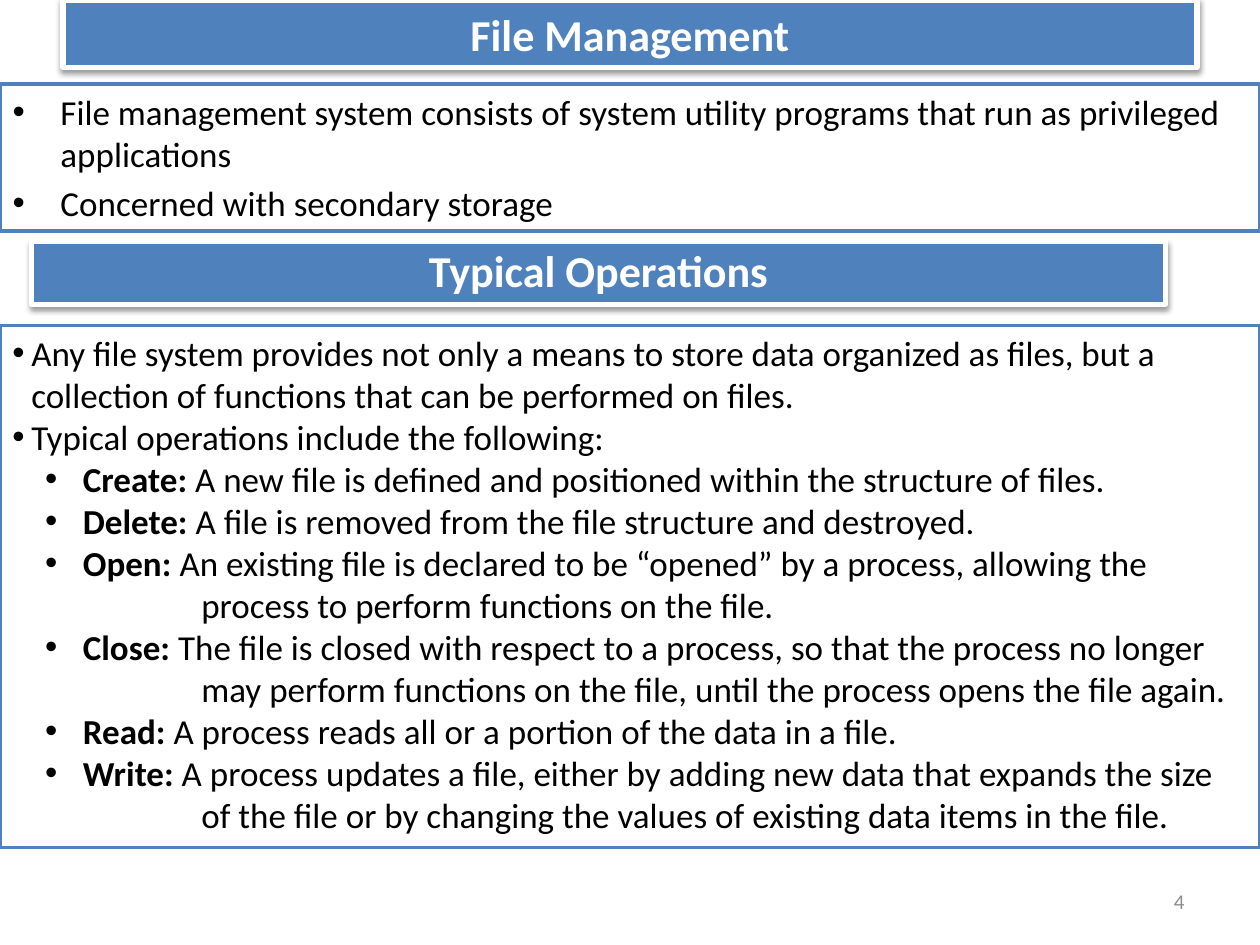
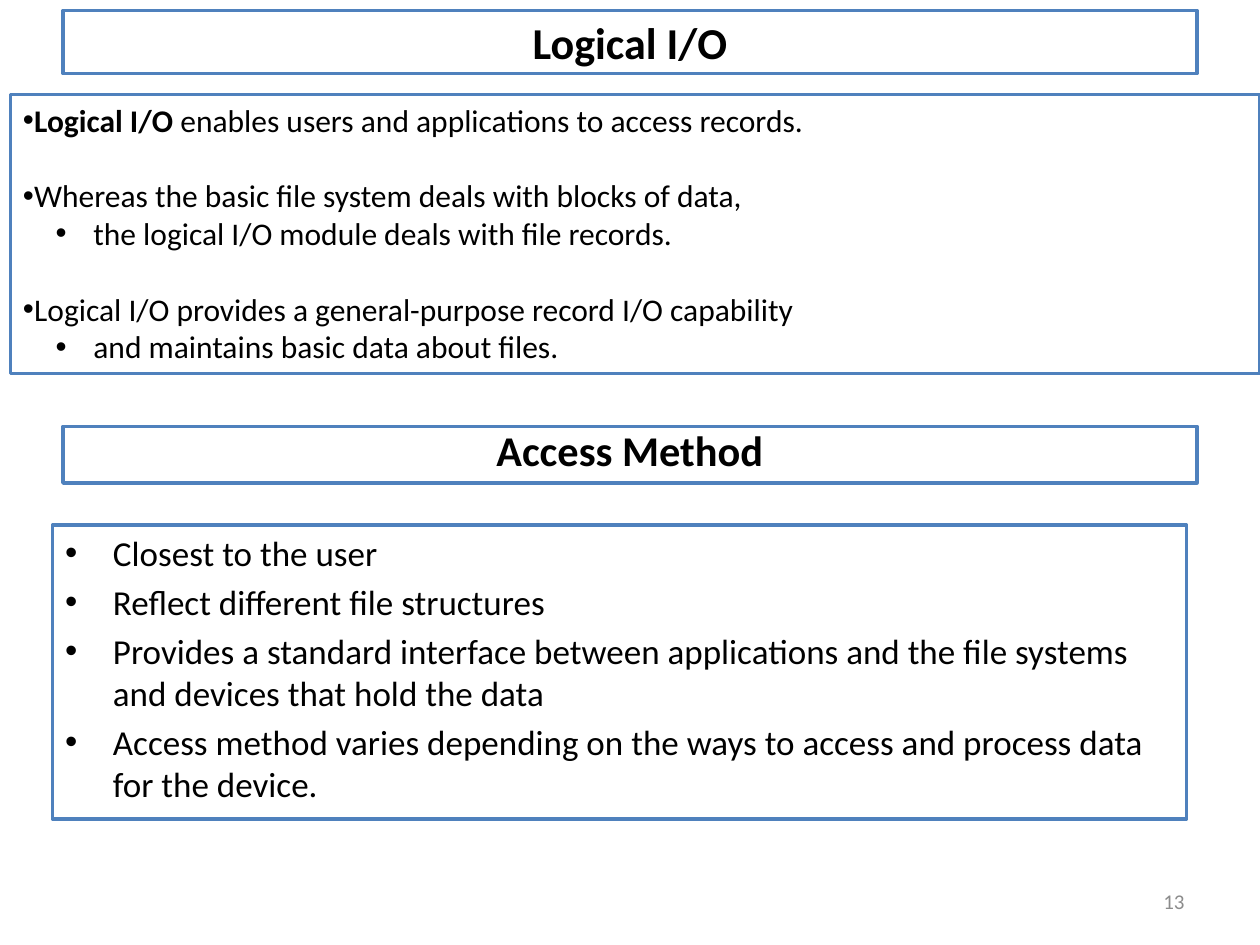
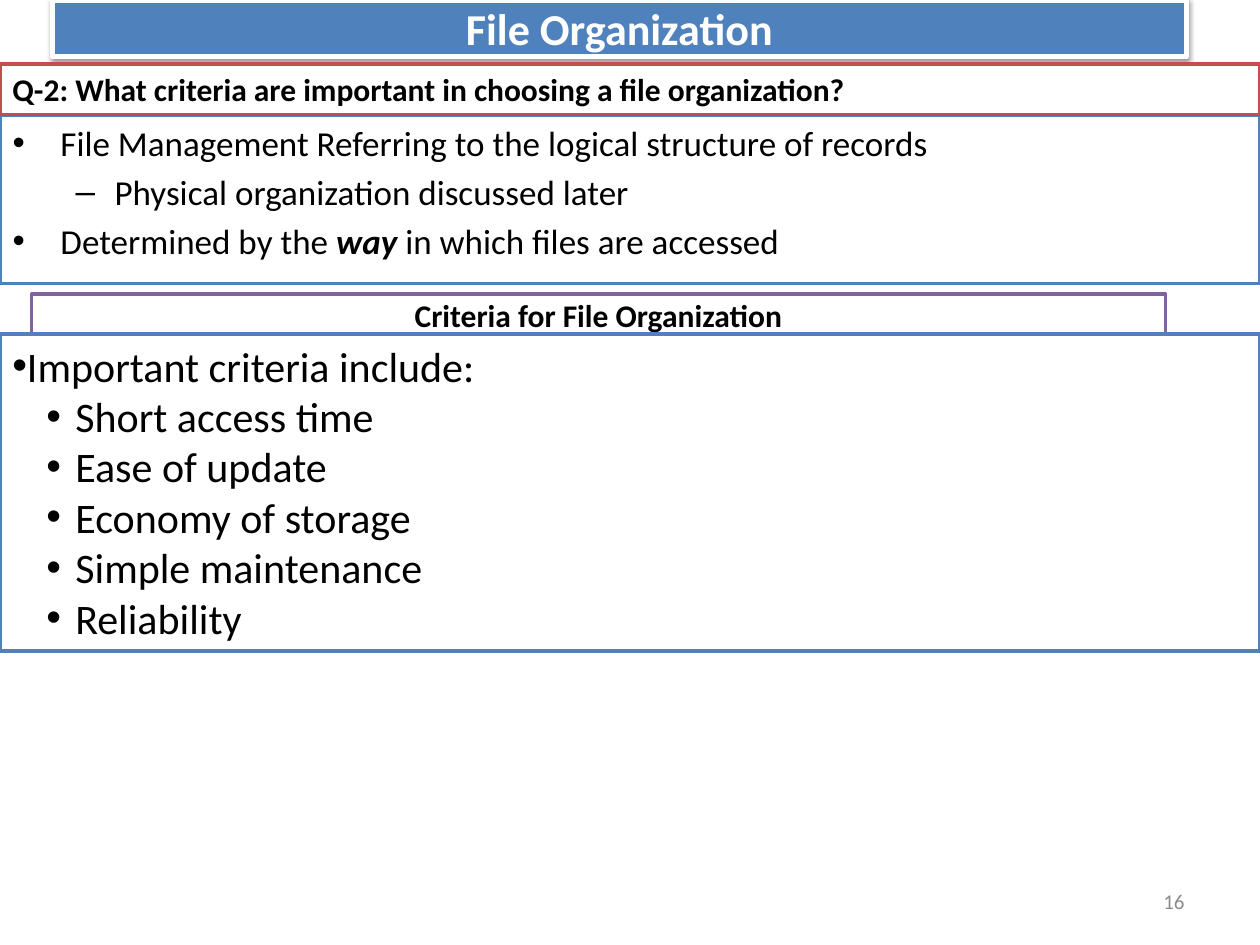
from lxml.etree import SubElement as Sub
from pptx import Presentation
from pptx.dml.color import RGBColor as Rgb
from pptx.enum.shapes import MSO_SHAPE as Form
from pptx.enum.text import MSO_ANCHOR as Anchor, MSO_AUTO_SIZE as Fit, PP_ALIGN as Align
from pptx.oxml.ns import qn
from pptx.util import Inches, Pt

COLS, ROWS = 120, 90
UNIT = Inches(10) / COLS
FONT = "Calibri"
HUES = {
    "white": "FFFFFF",
    "black": "000000",
    "blue": "4F81BD",
    "red": "C0504D",
    "plum": "8064A2",
    "grey": "8C8C8C",
}
# Level, bullet, left edge and hang in inches, space before as share of size
STYLES = {
    "item": (0, "•", 0.38, 0.38, 0.2),
    "dash": (1, "–", 0.81, 0.31, 0.2),
    "lead": (0, "•", 0.15, 0.15, 0),
    "point": (0, "•", 0.09, 0.09, 0),
    "apart": (0, "•", 0.09, 0.09, 1.2),
    "sub": (1, "•", 0.56, 0.3, 0),
    "short": (1, "•", 0.5, 0.23, 0),
    "rest": (1, None, 1.5, 0, 0),
    "plain": (0, None, 0, 0, 0),
}


def hue(name):
    """Return a named colour."""
    return Rgb.from_string(HUES[name])


def place(shape, box):
    """Put a shape on the grid box (column, row, columns, rows)."""
    shape.left, shape.top, shape.width, shape.height = (round(n * UNIT) for n in box)


def rect(slide):
    """Add a plain rectangle."""
    return slide.shapes.add_shape(Form.RECTANGLE, 0, 0, 0, 0)


def paint(shape, fill, edge, width=2):
    """Fill and outline a shape and drop its shadow."""
    shape.fill.solid()
    shape.fill.fore_color.rgb = hue(fill)
    shape.line.color.rgb = hue(edge)
    shape.line.width = Pt(width)
    shape.shadow.inherit = False


def shade(shape):
    """Give a shape a soft shadow below."""
    fx = shape.element.spPr.find(qn("a:effectLst"))
    drop = Sub(fx, qn("a:outerShdw"), blurRad="40000", dist="20000",
               dir="5400000", rotWithShape="0")
    tint = Sub(drop, qn("a:srgbClr"), val=HUES["black"])
    Sub(tint, qn("a:alpha"), val="38000")


def ink(font, size, color, bold=False):
    """Format the font of a run."""
    font.name, font.size, font.bold = FONT, Pt(size), bold
    font.color.rgb = hue(color)


def label(shape, text, size, color, bold, align, space=None):
    """Write one line of text, centred in height."""
    frame = shape.text_frame
    frame.text = text
    frame.word_wrap = True
    frame.auto_size = Fit.NONE
    frame.vertical_anchor = Anchor.MIDDLE
    para = frame.paragraphs[0]
    para.alignment = align
    if space:
        para.line_spacing = space
    ink(para.runs[0].font, size, color, bold)


def band(shape, box, text, size=25.2, space=None):
    """Make a solid heading band with a shadow."""
    place(shape, box)
    paint(shape, "blue", "white", 3)
    shade(shape)
    label(shape, text, size, "white", True, Align.CENTER, space)


def frame_head(shape, box, text, size=25.2, edge="blue", space=None):
    """Make a white heading with a coloured outline."""
    place(shape, box)
    paint(shape, "white", edge)
    label(shape, text, size, "black", True, Align.CENTER, space)


def write(para, style, text, size):
    """Write a list line, with bold between asterisks."""
    level, mark, left, hang, gap = STYLES[style]
    para.level = level
    para.alignment = Align.LEFT
    para.space_before = Pt(gap * size)
    props = para._p.get_or_add_pPr()
    props.set("marL", str(Inches(left)))
    props.set("indent", str(-Inches(hang)))
    if mark:
        Sub(props, qn("a:buFont"), typeface="Arial")
        Sub(props, qn("a:buChar"), char=mark)
    else:
        Sub(props, qn("a:buNone"))
    for num, part in enumerate(text.split("*")):
        if part:
            run = para.add_run()
            run.text = part
            ink(run.font, size, "black", num % 2 == 1)


def panel(shape, box, rows, size=20, edge="blue"):
    """Make an outlined panel holding a list."""
    place(shape, box)
    paint(shape, "white", edge)
    frame = shape.text_frame
    frame.word_wrap = True
    frame.auto_size = Fit.NONE
    frame.vertical_anchor = Anchor.TOP
    for num, (style, text) in enumerate(rows):
        para = frame.add_paragraph() if num else frame.paragraphs[0]
        write(para, style, text, size)


def start(deck, number):
    """Add a numbered slide and return it with its title and body."""
    slide = deck.slides.add_slide(deck.slide_layouts[1])
    foot = slide.shapes.add_textbox(0, 0, 0, 0)
    place(foot, (86, 83.4, 28, 4.8))
    label(foot, str(number), 12, "grey", False, Align.RIGHT)
    return slide, slide.shapes.title, slide.placeholders[1]


def manage(deck):
    """Build the file management slide."""
    slide, title, body = start(deck, 4)
    band(title, (6, 0, 108, 6.4), "File Management")
    panel(body, (0, 8, COLS, 14), [
        ("item", "File management system consists of system utility programs "
                 "that run as privileged applications"),
        ("item", "Concerned with secondary storage"),
    ])
    band(rect(slide), (3, 23, 108, 6), "Typical Operations", space=0.9)
    panel(rect(slide), (0, 31, COLS, 49.7), [
        ("lead", "Any file system provides not only a means to store data organized "
                 "as files, but a collection of functions that can be performed on files."),
        ("lead", "Typical operations include the following:"),
        ("sub", "*Create: *A new file is defined and positioned within the structure of files."),
        ("sub", "*Delete: *A file is removed from the file structure and destroyed."),
        ("sub", "*Open: *An existing file is declared to be “opened” by a process, allowing the"),
        ("rest", "process to perform functions on the file."),
        ("sub", "*Close: *The file is closed with respect to a process, "
                "so that the process no longer"),
        ("rest", "may perform functions on the file, until the process opens the file again."),
        ("sub", "*Read: *A process reads all or a portion of the data in a file."),
        ("sub", "*Write:* A process updates a file, either by adding new data "
                "that expands the size"),
        ("rest", "of the file or by changing the values of existing data items in the file."),
    ])


def access(deck):
    """Build the logical I/O and access method slide."""
    slide, title, body = start(deck, 13)
    frame_head(title, (6, 1, 108, 6), "Logical I/O")
    panel(rect(slide), (1, 9, COLS - 1, 26.6), [
        ("point", "*Logical I/O *enables users and applications to access records."),
        ("apart", "Whereas the basic file system deals with blocks of data,"),
        ("sub", "the logical I/O module deals with file records."),
        ("apart", "Logical I/O provides a general-purpose record I/O capability"),
        ("sub", "and maintains basic data about files."),
    ], 18)
    frame_head(rect(slide), (6, 40.6, 108, 5.4), "Access Method", 24.2, space=0.8)
    panel(body, (5, 50, 108, 28), [
        ("item", "Closest to the user"),
        ("item", "Reflect different file structures"),
        ("item", "Provides a standard interface between applications and the file "
                 "systems and devices that hold the data"),
        ("item", "Access method varies depending on the ways to access and process "
                 "data for the device."),
    ])


def organize(deck):
    """Build the file organization slide."""
    slide, title, body = start(deck, 16)
    band(title, (5, 0, 108, 5.4), "File Organization")
    panel(body, (0, 11, COLS, 16), [
        ("item", "File Management Referring to the logical structure of records"),
        ("dash", "Physical organization discussed later"),
        ("item", "Determined by the *way *in which files are accessed"),
    ])
    body.text_frame.paragraphs[2].runs[1].font.italic = True
    frame_head(rect(slide), (3, 28, 108, 4), "Criteria for File Organization", 18, "plum")
    goals = ("Short access time", "Ease of update", "Economy of storage",
             "Simple maintenance", "Reliability")
    panel(rect(slide), (0, 31.8, COLS, 30.2),
          [("point", "Important criteria include:")] + [("short", goal) for goal in goals], 24)
    panel(rect(slide), (0, 6.1, COLS, 4.8), [
        ("plain", "*Q-2: What criteria are important in choosing a file organization?*"),
    ], 18, "red")


def main():
    """Build and save the deck."""
    deck = Presentation()
    deck.slide_width, deck.slide_height = round(COLS * UNIT), round(ROWS * UNIT)
    for build in (manage, access, organize):
        build(deck)
    deck.save("out.pptx")


if __name__ == "__main__":
    main()
